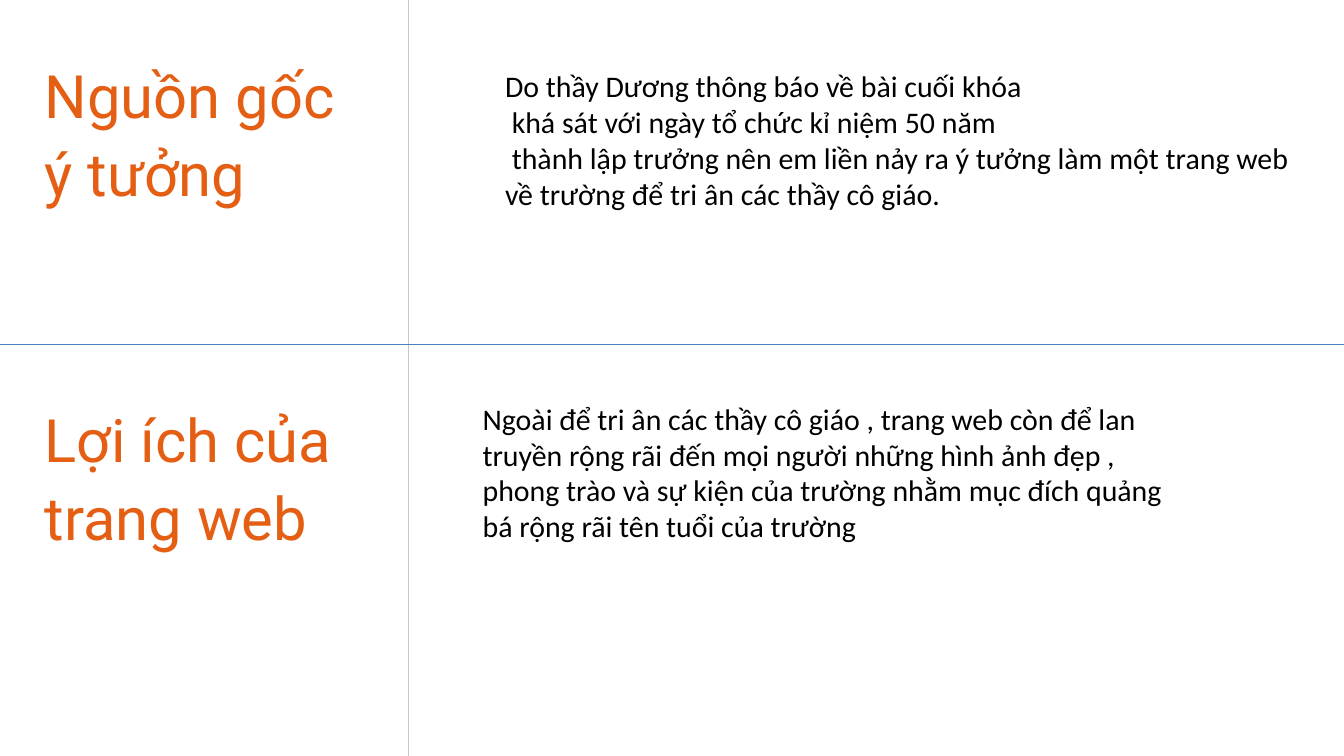
from lxml import etree
from pptx import Presentation
from pptx import util as u
from pptx.dml.color import RGBColor
from pptx.enum import shapes, text
from pptx.oxml.ns import qn


def color(value):
    return RGBColor.from_string(value)


deck = Presentation()
deck.slide_width, deck.slide_height = u.Pt(1440), u.Pt(810)
page = deck.slides.add_slide(deck.slide_layouts[6])

dividers = [
    ((438, 0, 438, 819), "C8C8C8"),
    ((0, 369, 1446, 369), "4B7EBC"),
]
for ends, line_color in dividers:
    divider = page.shapes.add_connector(
        shapes.MSO_CONNECTOR.STRAIGHT, *[u.Pt(value) for value in ends]
    )
    divider.line.color.rgb = color(line_color)
    divider.line.width = u.Pt(0.75)
    etree.SubElement(divider._element.spPr, qn("a:effectLst"))

heading = {
    "font": {"name": "Roboto", "size": u.Pt(64)},
    "color": "E45F14",
    "spacing": u.Pt(83.2),
    "margins": (0, 0),
}
body = {
    "font": {"name": "Calibri", "size": u.Pt(32)},
    "color": "000000",
    "spacing": None,
    "margins": (7.2, 3.6),
}

blocks = [
    (heading, 48, 57, 356, ["Nguồn gốc ý tưởng"]),
    (body, 534, 69, 855, [
        "Do thầy Dương thông báo về bài cuối khóa",
        " khá sát với ngày tổ chức kỉ niệm 50 năm",
        " thành lập trưởng nên em liền nảy ra ý tưởng làm một trang web "
        "về trường để tri ân các thầy cô giáo.",
    ]),
    (heading, 48, 425.5, 356, ["Lợi ích của trang web"]),
    (body, 510, 425.5, 768, [
        "Ngoài để tri ân các thầy cô giáo , trang web còn để lan truyền "
        "rộng rãi đến mọi người những hình ảnh đẹp , phong trào và sự kiện "
        "của trường nhằm mục đích quảng bá rộng rãi tên tuổi của trường",
    ]),
]
for style, left, top, width, lines in blocks:
    box = page.shapes.add_textbox(u.Pt(left), u.Pt(top), u.Pt(width), u.Pt(163))
    frame = box.text_frame
    frame.word_wrap = True
    frame.auto_size = text.MSO_AUTO_SIZE.SHAPE_TO_FIT_TEXT
    side, edge = style["margins"]
    frame.margin_left = frame.margin_right = u.Pt(side)
    frame.margin_top = frame.margin_bottom = u.Pt(edge)
    for index, line in enumerate(lines):
        para = frame.add_paragraph() if index else frame.paragraphs[0]
        para.line_spacing = style["spacing"]
        span = para.add_run()
        span.text = line
        span.font.color.rgb = color(style["color"])
        for name, value in style["font"].items():
            setattr(span.font, name, value)

deck.save("out.pptx")
